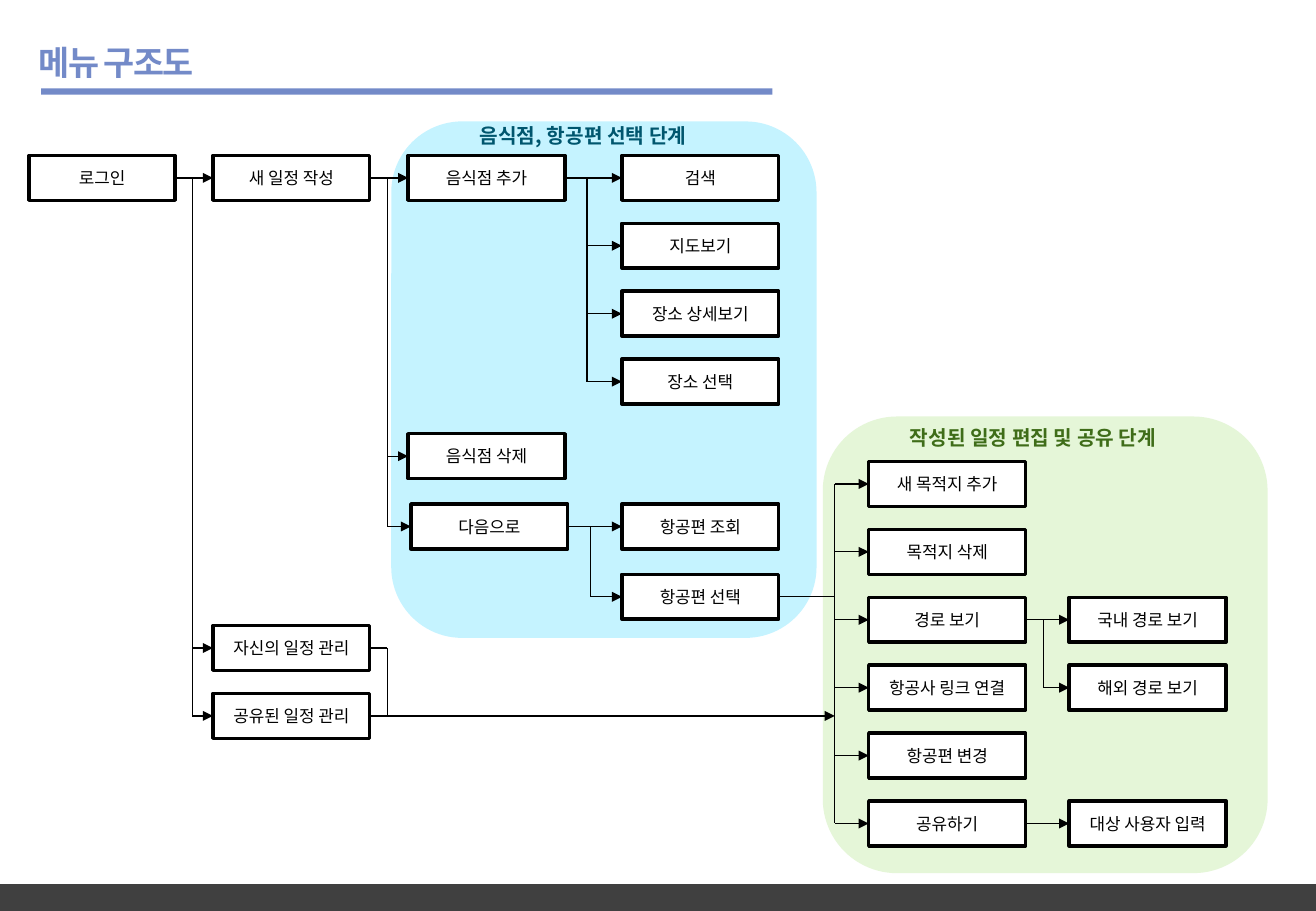
import pptx
import pptx.dml.color
import pptx.enum.shapes
import pptx.enum.text
import pptx.oxml.ns
import pptx.util
from lxml import etree
from pptx.util import Cm

THEME = {
    "font": "Noto Sans CJK KR",
    "title_size": 20, "stage_size": 12, "menu_size": 10,
    "accent": "738AC8", "footer": "404040", "ink": "000000", "paper": "FFFFFF",
    "select_fill": "C5F3FF", "select_text": "00566E",
    "edit_fill": "E5F6D8", "edit_text": "3F6D19",
}
RGB = pptx.dml.color.RGBColor.from_string
SHAPE = pptx.enum.shapes.MSO_SHAPE
ALIGN = pptx.enum.text.PP_ALIGN
MIDDLE = pptx.enum.text.MSO_ANCHOR.MIDDLE
qn = pptx.oxml.ns.qn
LEFT_SITE, RIGHT_SITE = 1, 3


def write(frame, text, size, color, bold, align):
    frame.text = text
    paragraph = frame.paragraphs[0]
    paragraph.alignment = align
    run = paragraph.runs[0]
    run.font.size = pptx.util.Pt(THEME[size])
    run.font.bold = bold
    run.font.color.rgb = RGB(THEME[color])
    run.font.name = THEME["font"]
    etree.SubElement(run.font._element, qn("a:ea"), typeface=THEME["font"])
    return paragraph


def link(start, end, arrow=True, source=None, target=None):
    line = slide.shapes.add_connector(
        pptx.enum.shapes.MSO_CONNECTOR.STRAIGHT, *start, *end)
    if source is not None:
        line.begin_connect(source, RIGHT_SITE)
    if target is not None:
        line.end_connect(target, LEFT_SITE)
    line.line.width = pptx.util.Pt(0.75)
    line.line.color.rgb = RGB(THEME["ink"])
    properties = line._element.spPr
    if arrow:
        etree.SubElement(properties.find(qn("a:ln")), qn("a:tailEnd"), type="triangle")
    etree.SubElement(properties, qn("a:effectLst"))


deck = pptx.Presentation()
deck.slide_width, deck.slide_height = Cm(27.51), Cm(19.05)
slide = deck.slides.add_slide(deck.slide_layouts[5])

# Title
title = slide.shapes.title
title.left, title.top, title.width, title.height = Cm(0.56), Cm(0.33), Cm(13.67), Cm(1.5)
title.text_frame.vertical_anchor = MIDDLE
title.text_frame.auto_size = pptx.enum.text.MSO_AUTO_SIZE.NONE
heading = write(title.text_frame, "메뉴 구조도", "title_size", "accent", True, ALIGN.LEFT)
heading.line_spacing = 1.5
heading.runs[0].font._element.set("spc", "-100")

# Title rule, footer band and the two stage areas
for kind, left, top, width, height, fill in [
    (SHAPE.RECTANGLE, 0.86, 1.85, 15.29, 0.13, "accent"),
    (SHAPE.RECTANGLE, 0, 18.49, 27.51, 0.56, "footer"),
    (SHAPE.ROUNDED_RECTANGLE, 8.18, 2.54, 8.89, 10.8, "select_fill"),
    (SHAPE.ROUNDED_RECTANGLE, 17.2, 8.71, 9.3, 9.55, "edit_fill"),
]:
    area = slide.shapes.add_shape(kind, Cm(left), Cm(top), Cm(width), Cm(height))
    area.shadow.inherit = False
    area.fill.solid()
    area.fill.fore_color.rgb = RGB(THEME[fill])
    area.line.fill.background()

# Stage captions
for text, left, top, width, color in [
    ("음식점, 항공편 선택 단계", 9.78, 2.46, 5.33, "select_text"),
    ("작성된 일정 편집 및 공유 단계", 18.77, 8.76, 6.55, "edit_text"),
]:
    caption = slide.shapes.add_textbox(Cm(left), Cm(top), Cm(width), Cm(0.76))
    write(caption.text_frame, text, "stage_size", color, True, ALIGN.LEFT)

# Menu boxes: column left edge, first row, labels one row apart
ROW_PITCH = 1.42
menus = {}
for left, first_top, width, labels in [
    (0.61, 3.25, 3.05, ["로그인"]),
    (4.45, 3.25, 3.28, ["새 일정 작성"]),
    (4.45, 13.08, 3.28, ["자신의 일정 관리", "공유된 일정 관리"]),
    (8.53, 3.25, 3.28, ["음식점 추가"]),
    (8.53, 9.07, 3.28, ["음식점 삭제"]),
    (8.59, 10.54, 3.28, ["다음으로"]),
    (13, 3.25, 3.28, ["검색", "지도보기", "장소 상세보기", "장소 선택"]),
    (13, 10.54, 3.28, ["항공편 조회"]),
    (13, 12.01, 3.28, ["항공편 선택"]),
    (18.16, 9.65, 3.28, ["새 목적지 추가", "목적지 삭제", "경로 보기",
                         "항공사 링크 연결", "항공편 변경", "공유하기"]),
    (22.35, 12.49, 3.28, ["국내 경로 보기", "해외 경로 보기"]),
    (22.35, 16.75, 3.28, ["대상 사용자 입력"]),
]:
    for row, label in enumerate(labels):
        menu = slide.shapes.add_shape(
            SHAPE.RECTANGLE, Cm(left), Cm(first_top + row * ROW_PITCH), Cm(width), Cm(0.94))
        menu.shadow.inherit = False
        menu.fill.solid()
        menu.fill.fore_color.rgb = RGB(THEME["paper"])
        menu.line.color.rgb = RGB(THEME["ink"])
        menu.line.width = pptx.util.Pt(2)
        menu.text_frame.margin_left = menu.text_frame.margin_right = 0
        menu.text_frame.vertical_anchor = MIDDLE
        write(menu.text_frame, label, "menu_size", "ink", False, ALIGN.CENTER)
        menus[label] = menu
middle = {label: menu.top + menu.height // 2 for label, menu in menus.items()}

# Branches: parent, position of the vertical trunk, children
EDIT_TRUNK = Cm(17.45)
for parent, trunk, children in [
    ("로그인", Cm(4.02), ["새 일정 작성", "자신의 일정 관리", "공유된 일정 관리"]),
    ("새 일정 작성", Cm(8.1), ["음식점 추가", "음식점 삭제", "다음으로"]),
    ("음식점 추가", Cm(12.27), ["검색", "지도보기", "장소 상세보기", "장소 선택"]),
    ("다음으로", Cm(12.34), ["항공편 조회", "항공편 선택"]),
    ("항공편 선택", EDIT_TRUNK, ["새 목적지 추가", "목적지 삭제", "경로 보기",
                            "항공사 링크 연결", "항공편 변경", "공유하기"]),
    ("경로 보기", Cm(21.82), ["국내 경로 보기", "해외 경로 보기"]),
    ("공유하기", Cm(21.82), ["대상 사용자 입력"]),
]:
    source, level = menus[parent], middle[parent]
    exit_point = (source.left + source.width, level)
    heights = [level] + [middle[child] for child in children]
    if level not in heights[1:]:
        link(exit_point, (trunk, level), arrow=False, source=source)
    if len(children) > 1:
        link((trunk, min(heights)), (trunk, max(heights)), arrow=False)
    for child in children:
        target, height = menus[child], middle[child]
        if height == level:
            link(exit_point, (target.left, height), source=source, target=target)
        else:
            link((trunk, height), (target.left, height), target=target)

# Both schedule lists lead into the edit stage
own, shared = menus["자신의 일정 관리"], menus["공유된 일정 관리"]
own_y, shared_y = middle["자신의 일정 관리"], middle["공유된 일정 관리"]
list_exit, merge = own.left + own.width, Cm(8.1)
link((list_exit, own_y), (merge, own_y), arrow=False, source=own)
link((merge, own_y), (merge, shared_y), arrow=False)
link((list_exit, shared_y), (EDIT_TRUNK, shared_y), source=shared)

deck.save("out.pptx")
